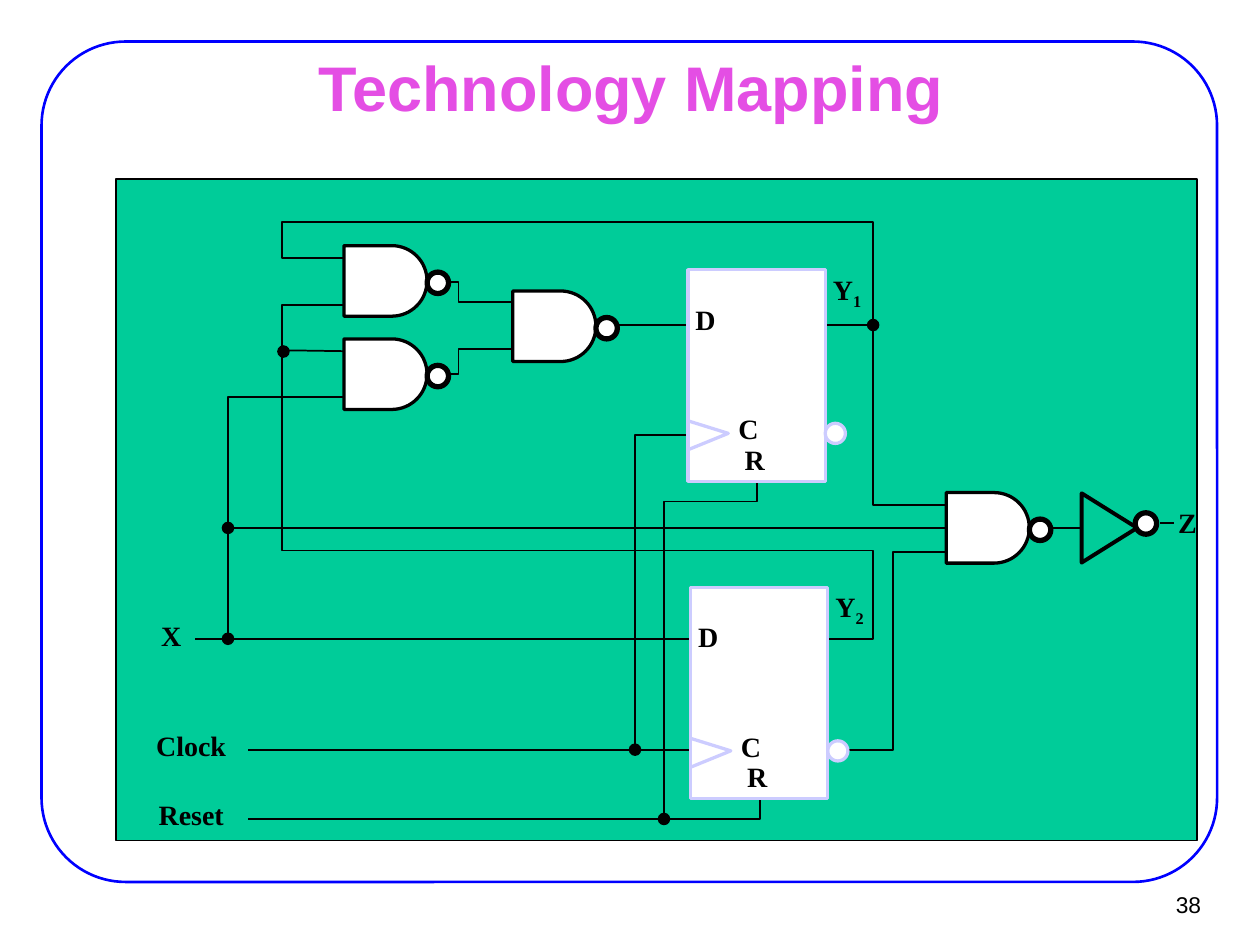
from math import cos, pi, sin

from lxml.etree import SubElement
from pptx import Presentation
from pptx.dml.color import RGBColor
from pptx.enum.shapes import MSO_CONNECTOR, MSO_SHAPE
from pptx.enum.text import MSO_ANCHOR, PP_ALIGN
from pptx.oxml.ns import qn
from pptx.util import Inches, Pt

COLORS = {
    "frame": "0000FF",
    "title": "E44EE4",
    "board": "00CC99",
    "ink": "000000",
    "white": "FFFFFF",
    "flip_flop": "CCCCFF",
}

WIRES = [
    [(3.07, 2.05), (2.24, 2.05), (2.24, 1.76), (6.93, 1.76), (6.93, 4.01), (7.8, 4.01)],
    [(3.07, 2.42), (2.24, 2.42), (2.24, 4.37), (6.93, 4.37), (6.93, 5.07), (1.55, 5.07)],
    [(7.69, 4.38), (7.09, 4.38), (7.09, 5.95), (1.97, 5.95)],
    [(6.03, 5.68), (6.03, 6.5), (1.97, 6.5)],
    [(2.89, 3.15), (1.81, 3.15), (1.81, 5.07)],
    [(2.91, 2.24), (3.64, 2.24), (3.64, 2.4), (4.08, 2.4)],
    [(2.91, 2.97), (3.64, 2.97), (3.64, 2.77), (4.08, 2.77)],
    [(6.07, 3.45), (5.04, 3.45), (5.04, 5.95)],
    [(5.27, 6.5), (5.27, 3.98), (6.01, 3.98), (6.01, 3.53)],
]
STRAIGHT_WIRES = [
    ((1.81, 4.19), (8.58, 4.19)),
    ((2.24, 2.78), (2.92, 2.79)),
    ((6.93, 2.58), (4.18, 2.58)),
]
JUNCTIONS = [(2.25, 2.79), (1.81, 4.19), (1.81, 5.07), (5.04, 5.95), (6.93, 2.58), (5.27, 6.5)]
GATES = [(2.73, 1.95), (2.73, 2.69), (4.07, 2.31), (7.51, 3.91)]
FLIP_FLOPS = [(5.46, 2.14, "1"), (5.48, 4.66, "2")]
INPUTS = [("X", 1.28, 4.91), ("Clock", 1.24, 5.78), ("Reset", 1.26, 6.33)]


def rgb(name):
    return RGBColor.from_string(COLORS[name])


def style(shape, fill=None, line=None, weight=1):
    shape.shadow.inherit = False
    if fill:
        shape.fill.solid()
        shape.fill.fore_color.rgb = rgb(fill)
    else:
        shape.fill.background()
    if line:
        shape.line.color.rgb = rgb(line)
        shape.line.width = Pt(weight)
    else:
        shape.line.fill.background()


def add_preset(slide, kind, left, top, width, height, **look):
    shape = slide.shapes.add_shape(
        kind, Inches(left), Inches(top), Inches(width), Inches(height))
    style(shape, **look)
    return shape


def add_outline(slide, points, close=False, **look):
    corners = [(Inches(x), Inches(y)) for x, y in points]
    builder = slide.shapes.build_freeform(*corners[0])
    builder.add_line_segments(corners[1:], close=close)
    style(builder.convert_to_shape(), **look)


def add_line(slide, start, end, weight=1):
    line = slide.shapes.add_connector(
        MSO_CONNECTOR.STRAIGHT, *(Inches(value) for value in start + end))
    line.line.color.rgb = rgb("ink")
    line.line.width = Pt(weight)
    SubElement(line._element.spPr, qn("a:effectLst"))


def add_label(slide, text, left, top, subscript=""):
    box = slide.shapes.add_textbox(
        Inches(left), Inches(top), Inches(0.14 * len(text + subscript)), Inches(0.27))
    frame = box.text_frame
    frame.word_wrap = False
    frame.margin_left = frame.margin_right = frame.margin_top = frame.margin_bottom = 0
    paragraph = frame.paragraphs[0]
    paragraph.add_run().text = text
    if subscript:
        run = paragraph.add_run()
        run.text = subscript
        run.font._element.set("baseline", "-25000")
    set_font(paragraph, "Times New Roman", 16, "ink", bold=True)


def set_font(paragraph, name, size, color, bold=False):
    font = paragraph.font
    font.name, font.size, font.bold = name, Pt(size), bold
    font.color.rgb = rgb(color)


def add_bubble(slide, left, top):
    """Inversion circle at the output of a gate."""
    add_preset(slide, MSO_SHAPE.OVAL, left, top, 0.17, 0.17,
               fill="white", line="ink", weight=3)


def add_nand_gate(slide, left, top):
    radius, flat, steps = 0.28, 0.38, 32
    angles = [pi * (step / steps - 0.5) for step in range(steps + 1)]
    arc = [(left + flat + radius * cos(angle), top + radius + radius * sin(angle))
           for angle in angles]
    add_outline(slide, [(left, top), *arc, (left, top + 2 * radius)], close=True,
                fill="white", line="ink", weight=1.87)
    add_bubble(slide, left + 0.66, top + 0.21)


def add_flip_flop(slide, left, top, number):
    look = {"line": "flip_flop", "weight": 1.87}
    add_preset(slide, MSO_SHAPE.RECTANGLE, left, top, 1.09, 1.68, fill="white", **look)
    add_preset(slide, MSO_SHAPE.OVAL, left + 1.09, top + 1.22, 0.16, 0.16,
               fill="white", **look)
    clock_wedge = [(0, 1.2), (0.32, 1.3), (0, 1.43)]
    add_outline(slide, [(left + x, top + y) for x, y in clock_wedge], **look)
    for text, x, y in [("D", 0.06, 0.26), ("C", 0.4, 1.13), ("R", 0.45, 1.37)]:
        add_label(slide, text, left + x, top + y)
    add_label(slide, "Y", left + 1.15, top + 0.02, subscript=number)


def add_inverter(slide):
    triangle = add_preset(slide, MSO_SHAPE.ISOSCELES_TRIANGLE, 8.53, 3.97, 0.55, 0.44,
                          line="ink", weight=2.25)
    triangle.rotation = 90
    add_bubble(slide, 9.01, 4.07)
    add_line(slide, (9.21, 4.15), (9.32, 4.15), weight=1.5)
    add_label(slide, "Z", 9.35, 4.01)


def add_title(slide, text):
    title = slide.shapes.title
    title.left, title.top = Inches(0.76), Inches(0.44)
    title.width, title.height = Inches(8.5), Inches(0.49)
    title.text_frame.text = text
    title.text_frame.vertical_anchor = MSO_ANCHOR.MIDDLE
    paragraph = title.text_frame.paragraphs[0]
    paragraph.alignment = PP_ALIGN.CENTER
    set_font(paragraph, "Arial", 36, "title", bold=True)


def add_page_number(slide, number):
    box = slide.shapes.add_textbox(Inches(9.02), Inches(6.99), Inches(0.61), Inches(0.37))
    box.text_frame.text = number
    box.text_frame.word_wrap = True
    box.text_frame.vertical_anchor = MSO_ANCHOR.MIDDLE
    paragraph = box.text_frame.paragraphs[0]
    paragraph.alignment = PP_ALIGN.RIGHT
    set_font(paragraph, "Arial", 13, "ink")


def add_circuit(slide):
    add_preset(slide, MSO_SHAPE.RECTANGLE, 0.92, 1.42, 8.58, 5.25,
               fill="board", line="ink", weight=0.75)
    for points in WIRES:
        add_outline(slide, points, line="ink")
    for start, end in STRAIGHT_WIRES:
        add_line(slide, start, end)
    for flip_flop in FLIP_FLOPS:
        add_flip_flop(slide, *flip_flop)
    for left, top in GATES:
        add_nand_gate(slide, left, top)
    add_inverter(slide)
    for x, y in JUNCTIONS:
        add_preset(slide, MSO_SHAPE.OVAL, x - 0.05, y - 0.05, 0.1, 0.1, fill="ink")
    for text, left, top in INPUTS:
        add_label(slide, text, left, top)


def main():
    presentation = Presentation()
    presentation.slide_width, presentation.slide_height = Inches(10), Inches(7.5)
    slide = presentation.slides.add_slide(presentation.slide_layouts[5])
    frame = add_preset(slide, MSO_SHAPE.ROUNDED_RECTANGLE, 0.33, 0.33, 9.33, 6.67,
                       line="frame", weight=1.5)
    frame.adjustments[0] = 0.1
    add_title(slide, "Technology Mapping")
    add_circuit(slide)
    add_page_number(slide, "38")
    presentation.save("out.pptx")


if __name__ == "__main__":
    main()
